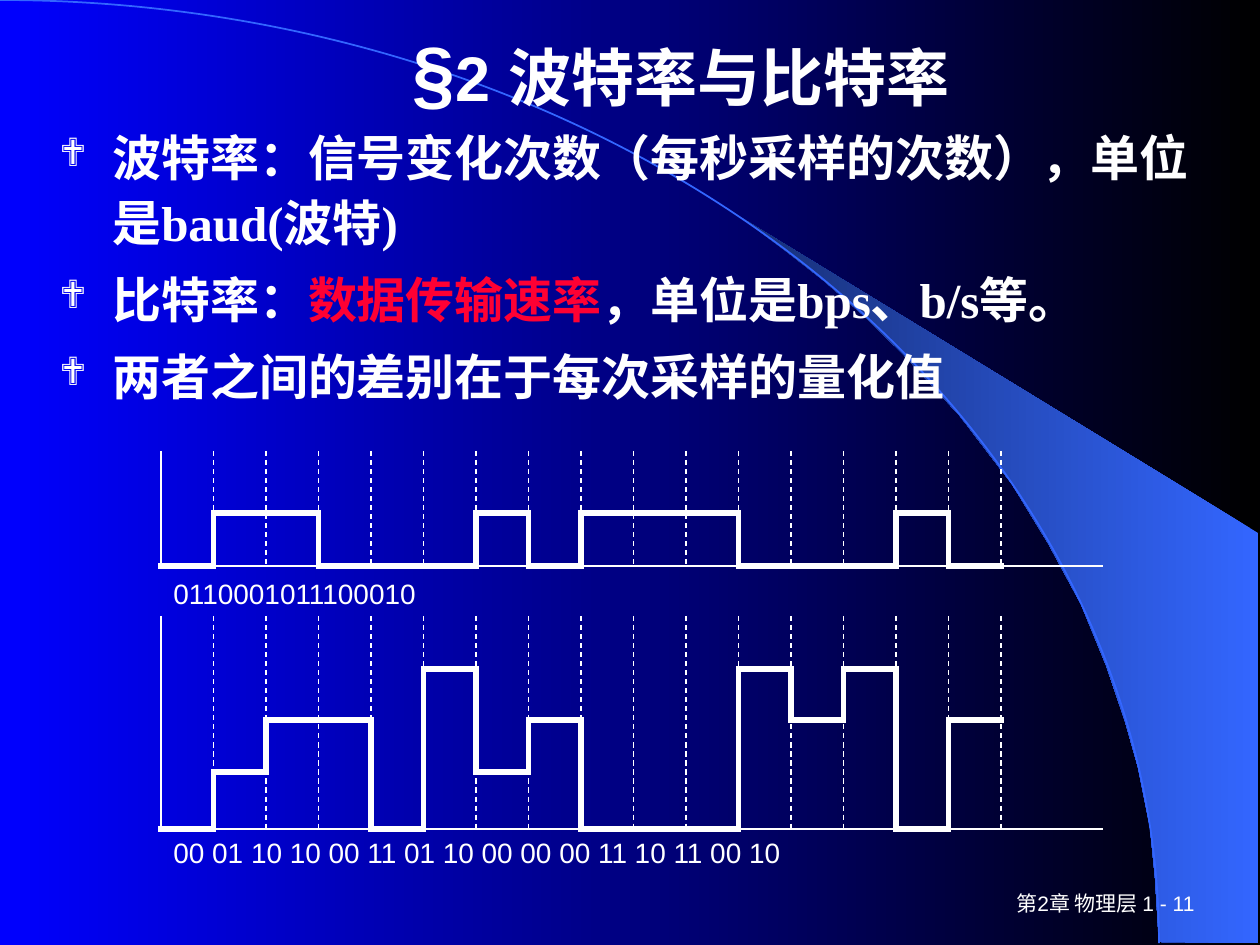
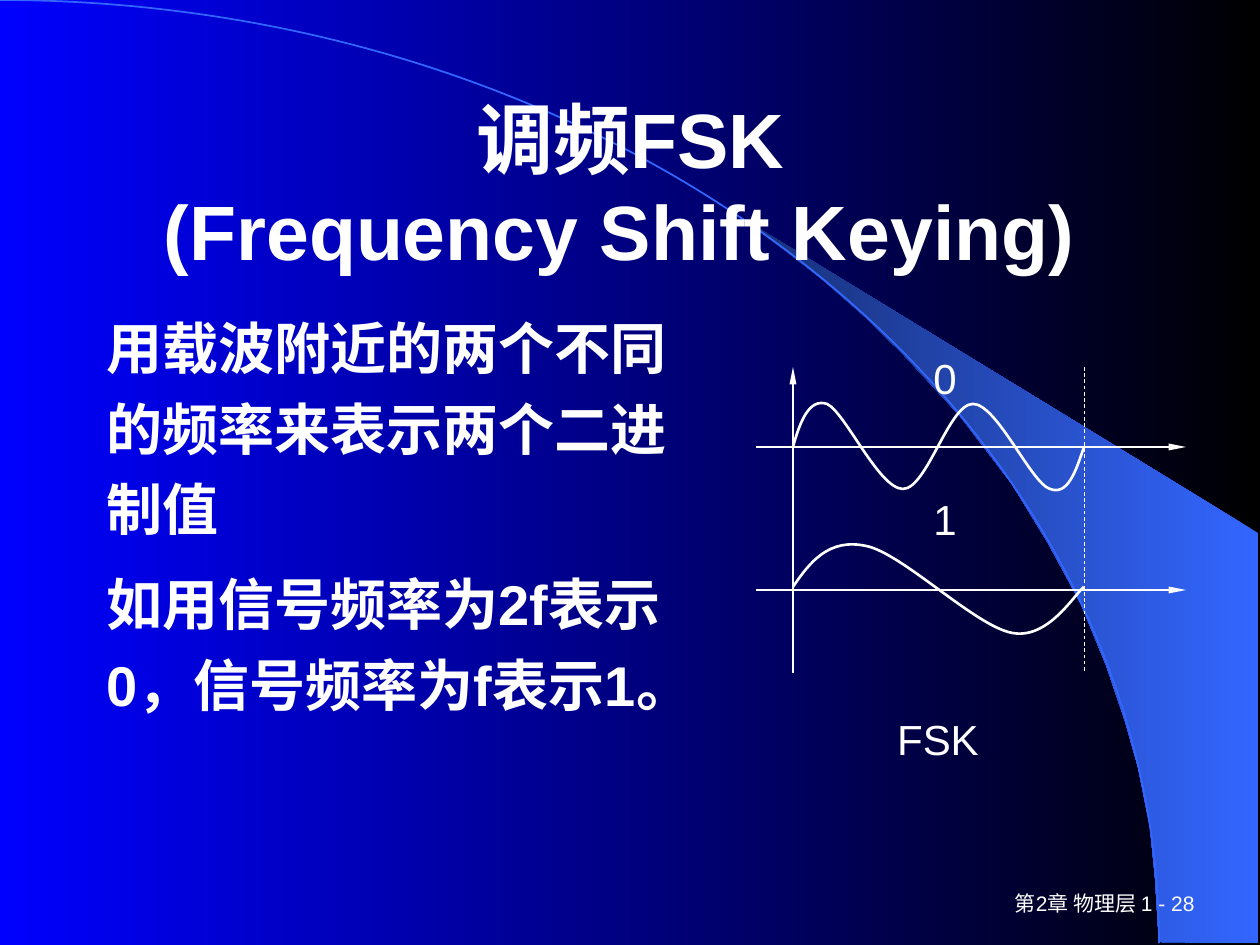
from itertools import groupby, pairwise

from lxml import etree
from pptx import Presentation, util as u
from pptx.dml.color import RGBColor
from pptx.enum import dml, shapes, text
from pptx.oxml.ns import qn

SCALE = 914400 / 126
COLORS = {
    "black": "000000",
    "blue": "0000FF",
    "white": "FFFFFF",
    "red": "FF0033",
    "arc": "3366FF",
    "beam_end": "172F75",
}
BEAM = [
    (1159, 942), (1258, 943), (1258, 533), (742, 218), (786, 251), (823, 280),
    (863, 315), (902, 353), (960, 416), (1012, 484), (1048, 543), (1081, 604),
    (1106, 665), (1125, 721), (1138, 767), (1150, 827), (1155, 877),
]
FAST_WAVE = [
    (37, 80), (44, 55), (53, 31), (71, 37), (89, 45), (123, 122), (147, 122),
    (171, 122), (193, 37), (217, 37), (241, 37), (275, 116), (294, 122),
    (312, 129), (320, 104), (328, 80),
]
SLOW_WAVE = [
    (37, 220), (54, 195), (73, 171), (110, 179), (146, 186), (219, 259),
    (256, 266), (292, 273), (318, 228), (328, 220),
]


def px(value):
    return u.Emu(round(value * SCALE))


def rgb(name):
    return RGBColor.from_string(COLORS[name])


def fill_gradient(fill, start, end):
    fill.gradient()
    fill.gradient_angle = 180
    for stop, name in zip(fill.gradient_stops, (start, end)):
        stop.color.rgb = rgb(name)


def add_line(page, start, end, width=0.75, dashed=False, arrow=False, square=False):
    line = page.shapes.add_connector(
        shapes.MSO_CONNECTOR.STRAIGHT, *map(px, (*start, *end))
    )
    line.line.color.rgb = rgb("white")
    line.line.width = u.Pt(width)
    if dashed:
        line.line.dash_style = dml.MSO_LINE.DASH
    properties = line._element.spPr
    outline = properties.find(qn("a:ln"))
    if square:
        outline.set("cap", "sq")
    if arrow:
        etree.SubElement(outline, qn("a:tailEnd"), type="triangle", w="sm", len="lg")
    etree.SubElement(properties, qn("a:effectLst"))


def add_outline(page, points, closed=False):
    start, *rest = [(px(x), px(y)) for x, y in points]
    builder = page.shapes.build_freeform(*start, scale=1.0)
    builder.add_line_segments(rest, close=closed)
    shape = builder.convert_to_shape()
    shape.shadow.inherit = False
    return shape


def add_wave(page, points):
    wave = add_outline(page, points)
    wave.fill.background()
    wave.line.color.rgb = rgb("white")
    wave.line.width = u.Pt(1.5)
    segments = list(wave._element.iter(qn("a:lnTo")))
    outline = segments[0].getparent()
    for first in range(0, len(segments), 3):
        curve = etree.SubElement(outline, qn("a:cubicBezTo"))
        for segment in segments[first:first + 3]:
            curve.append(segment[0])
            outline.remove(segment)


def add_bullet(para):
    properties = para._p.get_or_add_pPr()
    properties.set("marL", str(px(53)))
    properties.set("indent", str(-px(53)))
    color = etree.SubElement(properties, qn("a:buClr"))
    etree.SubElement(color, qn("a:srgbClr"), val=COLORS["white"])
    etree.SubElement(properties, qn("a:buSzPct"), val="80000")
    etree.SubElement(properties, qn("a:buFont"), typeface="Wingdings", charset="2")
    etree.SubElement(properties, qn("a:buChar"), char="❖")


def add_text(page, box, paras, size, font="Arial", bold=False, align="LEFT",
             anchor="TOP", spacing=1.0, before=0, gap=None, bullets=False):
    frame = page.shapes.add_textbox(*map(px, box)).text_frame
    frame.word_wrap = True
    frame.vertical_anchor = getattr(text.MSO_ANCHOR, anchor)
    for index, content in enumerate(paras):
        para = frame.add_paragraph() if index else frame.paragraphs[0]
        para.alignment = getattr(text.PP_ALIGN, align)
        para.line_spacing = spacing
        para.space_before = u.Pt(gap if index and gap else before)
        if bullets:
            add_bullet(para)
        spans = [(content, {})] if isinstance(content, str) else content
        for words, style in spans:
            for number, row in enumerate(words.split("\n")):
                if number:
                    para.add_line_break()
                span = para.add_run()
                span.text = row
                span.font.name = font
                span.font.bold = bold
                span.font.size = u.Pt(style.get("size", size))
                span.font.color.rgb = rgb(style.get("color", "white"))


def add_title(page, box, content, size):
    add_text(page, box, [content], size, bold=True, align="CENTER", anchor="MIDDLE")


def add_page(deck, number):
    page = deck.slides.add_slide(deck.slide_layouts[6])
    fill_gradient(page.background.fill, "black", "blue")
    beam = add_outline(page, BEAM, closed=True)
    fill_gradient(beam.fill, "arc", "beam_end")
    beam.line.fill.background()
    arc = page.shapes.add_shape(
        shapes.MSO_SHAPE.ARC, *map(px, (-1159, 0, 2318, 1886))
    )
    arc.shadow.inherit = False
    arc.fill.background()
    arc.line.color.rgb = rgb("arc")
    arc.line.width = u.Pt(1)
    add_text(page, (945, 882, 262, 42), [f"第2章 物理层 1 - {number}"], 12,
             align="RIGHT", anchor="MIDDLE")
    return page


def add_signal(page, box, codes, heights, label, label_top):
    left, top, width, height = box
    base = top + height
    step = width / len(codes)
    add_line(page, (left, base), (left + 942, base))
    add_line(page, (left, top), (left, base))
    for index in range(1, len(codes) + 1):
        x = left + index * step
        add_line(page, (x, top), (x, base), dashed=True)

    runs = []
    x = left
    for code, group in groupby(codes):
        end = x + step * len(list(group))
        runs.append((x, end, base - heights[int(code, 2)]))
        x = end
    for start, end, y in runs:
        add_line(page, (start, y), (end, y), width=3, square=True)
    for (_, x, y), (_, _, next_y) in pairwise(runs):
        add_line(page, (x, y), (x, next_y), width=3, square=True)
    add_text(page, (left, label_top, width, 47), [label], 16, before=10)


def add_fsk_diagram(page, box):
    left, top, width, height = box
    for controls in (FAST_WAVE, SLOW_WAVE):
        add_wave(page, [(left + x, top + y) for x, y in controls])
    add_line(page, (left + 37, top + height), (left + 37, top), arrow=True)
    for y in (top + 80, top + 223):
        add_line(page, (left, y), (left + width, y), arrow=True)
    add_line(page, (left + 328, top), (left + 328, top + height),
             width=0.5, dashed=True)
    add_text(page, (left + 121, top - 41, 136, 222), ["0", "1"], 24,
             align="CENTER", spacing=1.4, gap=40.5)
    add_text(page, (left + 70, top + 344, 224, 67), ["FSK"], 24,
             align="CENTER", spacing=0.96, before=3)


def build_rates_page(deck):
    page = add_page(deck, 11)
    add_title(page, (167, 26, 1028, 90),
              [("§", {"size": 44}), ("2 波特率与比特率", {})], 36)
    add_text(page, (47, 116, 1180, 330), [
        "波特率：信号变化次数（每秒采样的次数），单位是baud(波特)",
        [("比特率：", {}), ("数据传输速率", {"color": "red"}),
         ("，单位是bps、b/s等。", {})],
        "两者之间的差别在于每次采样的量化值",
    ], 28, font="Times New Roman", bold=True, spacing=1.1, before=7, bullets=True)
    bits = "0110001011100010"
    add_signal(page, (161, 451, 840, 115), bits, (0, 53), bits, 570)
    pairs = "00 01 10 10 00 11 01 10 00 00 00 11 10 11 00 10"
    add_signal(page, (161, 616, 840, 213), pairs.split(), (0, 57, 109, 160), pairs, 829)


def build_fsk_page(deck):
    page = add_page(deck, 28)
    add_title(page, (95, 84, 1071, 199), "调频FSK\n(Frequency Shift Keying) ", 44)
    add_fsk_diagram(page, (756, 367, 430, 306))
    add_text(page, (94, 294, 640, 514), [
        "用载波附近的两个不同的频率来表示两个二进制值",
        "如用信号频率为2f表示0，信号频率为f表示1。",
    ], 32, bold=True, spacing=1.2, before=8)


def main():
    deck = Presentation()
    deck.slide_width = px(1260)
    deck.slide_height = px(945)
    build_rates_page(deck)
    build_fsk_page(deck)
    deck.save("out.pptx")


if __name__ == "__main__":
    main()
